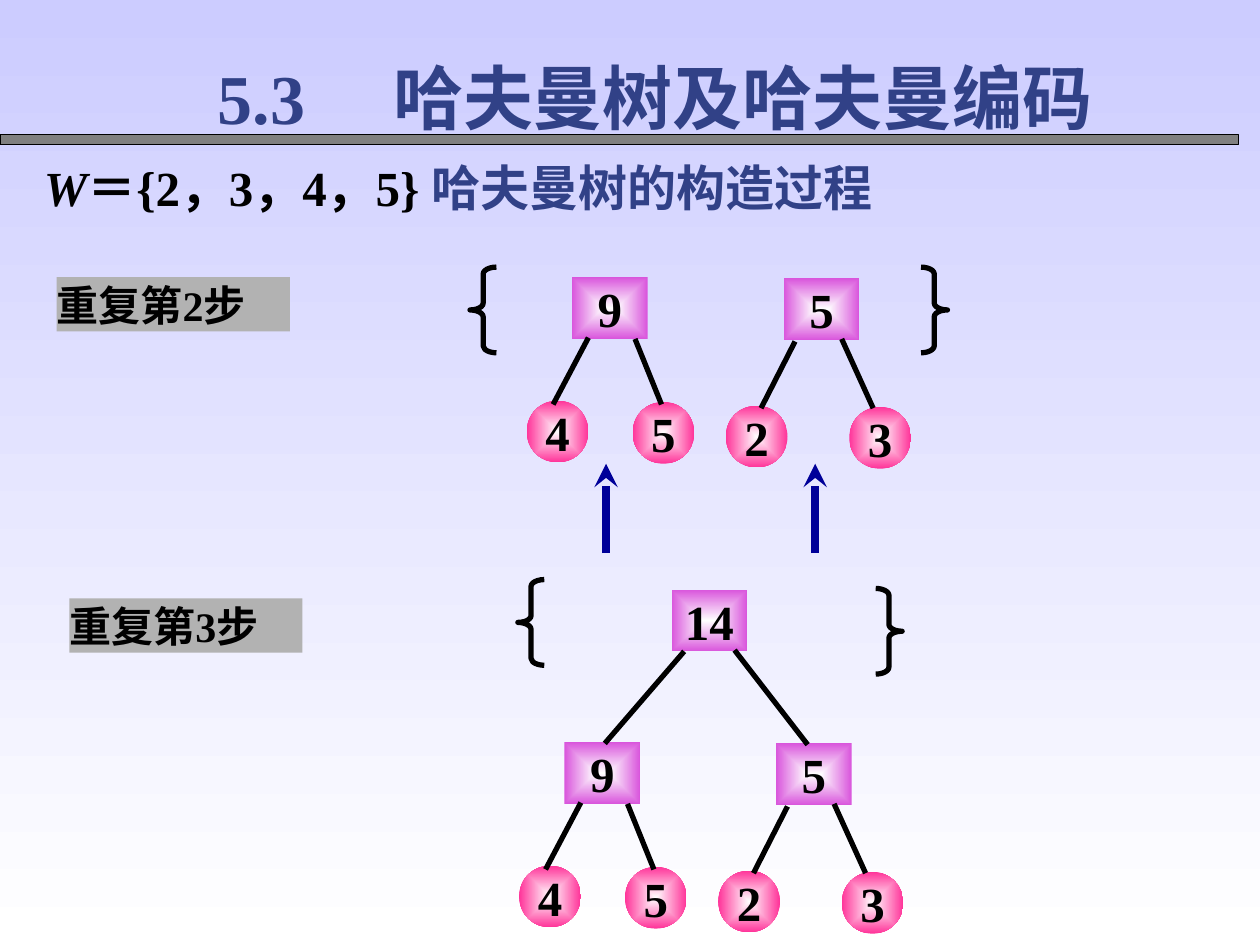
from lxml import etree
from pptx import Presentation
from pptx.dml.color import RGBColor
from pptx.enum.shapes import MSO_CONNECTOR, MSO_SHAPE
from pptx.enum.text import MSO_ANCHOR, MSO_AUTO_SIZE, PP_ALIGN
from pptx.oxml.ns import qn
from pptx.util import Inches, Pt

STRAIGHT = MSO_CONNECTOR.STRAIGHT
RECTANGLE, OVAL = MSO_SHAPE.RECTANGLE, MSO_SHAPE.OVAL
LEFT_BRACE, RIGHT_BRACE = MSO_SHAPE.LEFT_BRACE, MSO_SHAPE.RIGHT_BRACE
MIDDLE, LEFT, CENTER = MSO_ANCHOR.MIDDLE, PP_ALIGN.LEFT, PP_ALIGN.CENTER
NO_AUTOFIT = MSO_AUTO_SIZE.NONE

BLACK = RGBColor(0, 0, 0)
WHITE = RGBColor(255, 255, 255)
LAVENDER = RGBColor(0xCC, 0xCC, 0xFF)
GRAY = RGBColor(0x80, 0x80, 0x80)
LIGHT_GRAY = RGBColor(0xB2, 0xB2, 0xB2)
INDIGO = RGBColor(0x31, 0x41, 0x87)
NAVY = RGBColor(0, 0, 0x99)
PINK = RGBColor(0xFF, 0x33, 0x99)
ORCHID = RGBColor(0xD9, 0x55, 0xDC)


def format_text(shape, size, color, alignment, inset=0):
    frame = shape.text_frame
    frame.auto_size = NO_AUTOFIT
    frame.vertical_anchor = MIDDLE
    frame.margin_left = frame.margin_right = Inches(inset)
    frame.margin_top = frame.margin_bottom = 0
    paragraph = frame.paragraphs[0]
    paragraph.alignment = alignment
    font = paragraph.font
    font.name, font.size, font.bold = "Times New Roman", Pt(size), True
    font.color.rgb = color
    properties = paragraph._p.pPr
    east_asian = etree.SubElement(properties.find(qn("a:defRPr")), qn("a:ea"))
    east_asian.set("typeface", "Noto Sans CJK SC")
    return paragraph


def add_line(x1, y1, x2, y2, color, width):
    line = slide.shapes.add_connector(STRAIGHT, Inches(x1), Inches(y1), Inches(x2), Inches(y2))
    line.line.color.rgb = color
    line.line.width = Pt(width)
    etree.SubElement(line._element.spPr, qn("a:effectLst"))
    return line


presentation = Presentation()
presentation.slide_width, presentation.slide_height = Inches(10), Inches(7.5)
slide = presentation.slides.add_slide(presentation.slide_layouts[5])
background = slide.background.fill
background.gradient()
background.gradient_angle = 270
for stop, color in zip(background.gradient_stops, (LAVENDER, WHITE)):
    stop.color.rgb = color

rule = slide.shapes.add_shape(RECTANGLE, 0, Inches(1.07), Inches(9.83), Inches(0.08))
rule.shadow.inherit = False
rule.fill.solid()
rule.fill.fore_color.rgb = GRAY
rule.line.color.rgb = BLACK
rule.line.width = Pt(0.75)

title = slide.shapes.title
title.left, title.top, title.width, title.height = Inches(1.63), Inches(0.38), Inches(7.71), Inches(0.77)
title.text_frame.text = "5.3\t哈夫曼树及哈夫曼编码"
paragraph = format_text(title, 40, INDIGO, LEFT, 0.1)
tabs = etree.Element(qn("a:tabLst"))
etree.SubElement(tabs, qn("a:tab"), pos=str(Inches(1.39)), algn="l")
paragraph._p.pPr.find(qn("a:defRPr")).addprevious(tabs)

weights = slide.shapes.add_textbox(Inches(0.25), Inches(1.2), Inches(9.25), Inches(0.57))
weights.text_frame.word_wrap = True
paragraph = format_text(weights, 28, BLACK, LEFT, 0.1)
for text in ("W", "＝{2，3，4，5} ", "哈夫曼树的构造过程"):
    paragraph.add_run().text = text
paragraph.runs[0].font.italic = True
paragraph.runs[2].font.color.rgb = INDIGO

for text, left, top in (("重复第2步", 0.45, 2.2), ("重复第3步", 0.55, 4.75)):
    label = slide.shapes.add_shape(RECTANGLE, Inches(left), Inches(top), Inches(1.85), Inches(0.43))
    label.shadow.inherit = False
    label.fill.solid()
    label.fill.fore_color.rgb = LIGHT_GRAY
    label.line.fill.background()
    label.text_frame.text = text
    format_text(label, 24, BLACK, LEFT)

subtree_nodes = [
    ("4", OVAL, 4.18, 3.18), ("5", OVAL, 5.02, 3.19),
    ("2", OVAL, 5.76, 3.22), ("3", OVAL, 6.74, 3.23),
    ("9", RECTANGLE, 4.54, 2.2), ("5", RECTANGLE, 6.22, 2.21),
]
subtree_edges = [
    (4.67, 2.68, 4.39, 3.21), (5.04, 2.69, 5.25, 3.21),
    (6.31, 2.71, 6.04, 3.24), (6.68, 2.69, 6.93, 3.24),
]
nodes = [("14", RECTANGLE, 5.33, 4.68)]
edges = [(5.43, 5.17, 4.8, 5.9), (5.83, 5.16, 6.41, 5.91)]
for dx, dy in ((0, 0), (-0.06, 3.69)):
    nodes += [(text, kind, x + dx, y + dy) for text, kind, x, y in subtree_nodes]
    edges += [(x1 + dx, y1 + dy, x2 + dx, y2 + dy) for x1, y1, x2, y2 in subtree_edges]

for text, kind, left, top in nodes:
    width, color = (0.49, PINK) if kind == OVAL else (0.6, ORCHID)
    node = slide.shapes.add_shape(kind, Inches(left), Inches(top), Inches(width), Inches(0.49))
    node.shadow.inherit = False
    node.line.fill.background()
    node.fill.gradient()
    for stop, stop_color in zip(node.fill.gradient_stops, (WHITE, color)):
        stop.color.rgb = stop_color
    gradient = node._element.spPr.find(qn("a:gradFill"))
    gradient.remove(gradient.find(qn("a:lin")))
    center_fill = etree.SubElement(gradient, qn("a:path"))
    center_fill.set("path", "rect")
    etree.SubElement(center_fill, qn("a:fillToRect"), l="50000", t="50000", r="50000", b="50000")
    node.text_frame.text = text
    node.text_frame.word_wrap = False
    format_text(node, 28, BLACK, CENTER)

for edge in edges:
    add_line(*edge, BLACK, 3)

for x in (4.81, 6.47):
    arrow = add_line(x, 4.39, x, 3.68, NAVY, 4.5)
    etree.SubElement(arrow.line._get_or_add_ln(), qn("a:tailEnd"), type="stealth")

for kind, left, top in (
    (LEFT_BRACE, 3.73, 2.12), (RIGHT_BRACE, 7.31, 2.12),
    (LEFT_BRACE, 4.11, 4.6), (RIGHT_BRACE, 6.95, 4.67),
):
    brace = slide.shapes.add_shape(kind, Inches(left), Inches(top), Inches(0.21), Inches(0.68))
    brace.shadow.inherit = False
    brace.adjustments[0] = 0.26
    brace.fill.background()
    brace.line.color.rgb = BLACK
    brace.line.width = Pt(3)

presentation.save("out.pptx")
